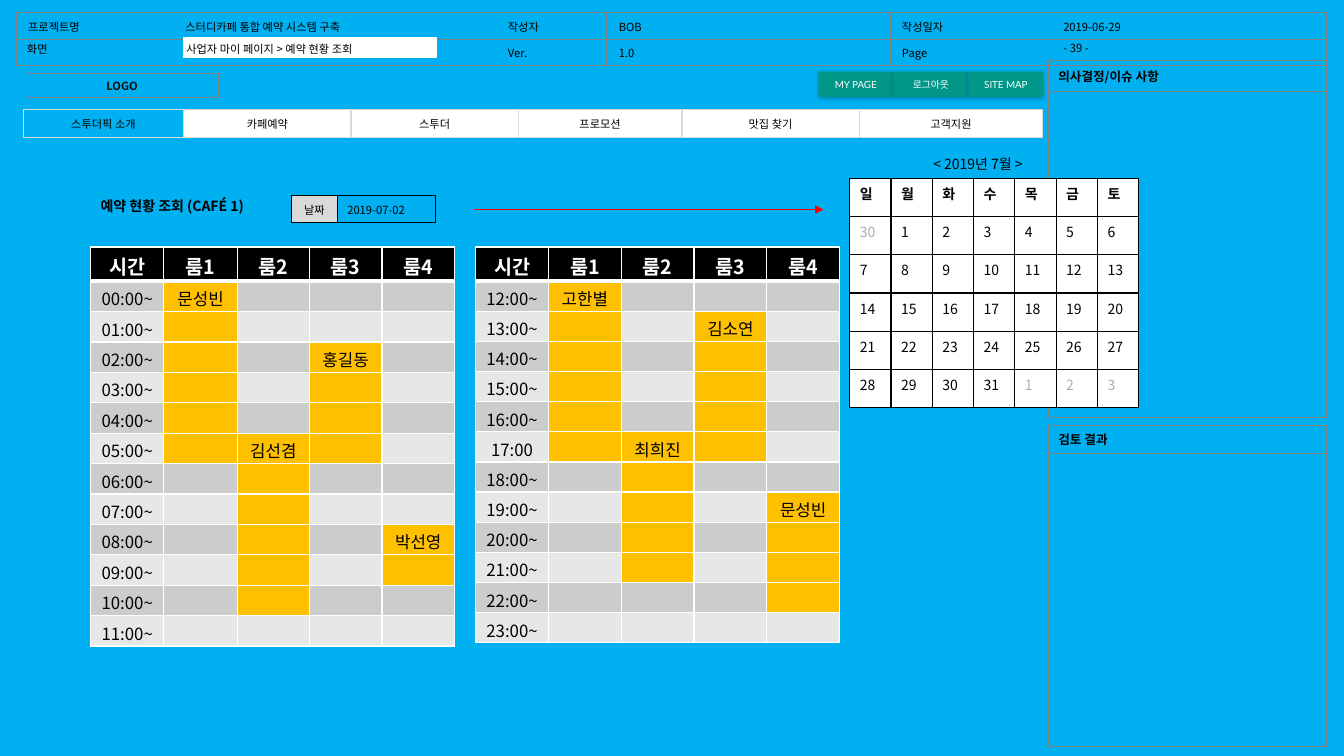
from pptx import Presentation
from pptx.dml.color import RGBColor
from pptx.enum.shapes import MSO_CONNECTOR, MSO_SHAPE
from pptx.enum.text import MSO_ANCHOR, PP_ALIGN
from pptx.oxml import parse_xml
from pptx.oxml.ns import nsdecls, qn
from pptx.util import Pt

LEFT, CENTER = PP_ALIGN.LEFT, PP_ALIGN.CENTER
TOP, MIDDLE = MSO_ANCHOR.TOP, MSO_ANCHOR.MIDDLE
RECT, ROUND_RECT = MSO_SHAPE.RECTANGLE, MSO_SHAPE.ROUNDED_RECTANGLE
STRAIGHT = MSO_CONNECTOR.STRAIGHT
KOREAN = "Noto Sans CJK KR"
BLACK, WHITE, GREY, LIGHT_GREY = "000000", "FFFFFF", "808080", "D9D9D9"
BLUE, TEAL, AMBER, RED, FADED = "00B0F0", "009688", "FFC000", "FF0000", "AFABAB"
BANDS = ("CCCCCC", "E7E7E7")


def rgb(color):
    return RGBColor.from_string(color)


def write(frame, text, size, color=BLACK, bold=False, align=LEFT, font=KOREAN):
    paragraph = frame.paragraphs[0]
    paragraph.text = text
    paragraph.alignment = align
    paragraph.font.size = Pt(size)
    paragraph.font.bold = bold
    paragraph.font.name = font
    paragraph.font.color.rgb = rgb(color)
    east_asian = parse_xml(f'<a:ea {nsdecls("a")} typeface="{KOREAN}"/>')
    paragraph.font._element.find(qn("a:latin")).addnext(east_asian)
    if not text:
        # An empty cell takes its line height from the end mark.
        paragraph._p.append(parse_xml(
            f'<a:endParaRPr {nsdecls("a")} sz="{size * 100}"/>'))


def set_border(cell, color, bottom_width):
    """Draw the four sides of a cell; they must precede its fill."""
    properties = cell._tc.get_or_add_tcPr()
    for side in ("L", "R", "T", "B"):
        width = bottom_width if side == "B" else 1
        properties.append(parse_xml(
            f'<a:ln{side} {nsdecls("a")} w="{Pt(width)}"><a:solidFill>'
            f'<a:srgbClr val="{color}"/></a:solidFill></a:ln{side}>'))


def add_grid(slide, left, top, widths, heights, rows, border, look):
    """Add a table; look(row, column) gives the style of one cell."""
    table = slide.shapes.add_table(
        len(heights), len(widths), Pt(left), Pt(top),
        Pt(sum(widths)), Pt(sum(heights))).table
    table.first_row = table.horz_banding = False
    for column, width in zip(table.columns, widths):
        column.width = Pt(width)
    for r, (height, texts) in enumerate(zip(heights, rows)):
        table.rows[r].height = Pt(height)
        for c, text in enumerate(texts):
            style = look(r, c)
            cell = table.cell(r, c)
            cell.vertical_anchor = style.get("anchor", TOP)
            cell.margin_left = cell.margin_right = Pt(style.get("side", 7.2))
            cell.margin_bottom = Pt(style.get("bottom", 3.6))
            set_border(cell, border, style.get("rule", 1))
            if "fill" in style:
                cell.fill.solid()
                cell.fill.fore_color.rgb = rgb(style["fill"])
            else:
                cell.fill.background()
            write(cell.text_frame, text, style["size"], style.get("color", BLACK),
                  style.get("bold", False), style.get("align", LEFT))


def add_label(slide, left, top, width, height, text, size, bold=False,
              anchor=TOP, wrap=True):
    frame = slide.shapes.add_textbox(
        Pt(left), Pt(top), Pt(width), Pt(height)).text_frame
    frame.word_wrap = wrap
    frame.vertical_anchor = anchor
    write(frame, text, size, bold=bold)


def add_box(slide, kind, left, top, width, height, fill=None, line=None, weight=1):
    box = slide.shapes.add_shape(kind, Pt(left), Pt(top), Pt(width), Pt(height))
    box.shadow.inherit = False
    if fill:
        box.fill.solid()
        box.fill.fore_color.rgb = rgb(fill)
    else:
        box.fill.background()
    if line:
        box.line.color.rgb = rgb(line)
        box.line.width = Pt(weight)
    else:
        box.line.fill.background()
    return box


def add_document_header(slide, left, top):
    rows = [("프로젝트명", "스터디카페 통합 예약 시스템 구축", "작성자", "BOB",
             "작성일자", "2019-06-29"),
            ("", "", "Ver.", "1.0", "Page", "")]
    add_grid(slide, left, top, [112.3, 230.4, 79.2, 202.3, 115.2, 196.6],
             [17, 17], rows, GREY, lambda r, c: {"size": 8, "side": 8.64})
    add_label(slide, left + 741, top + 16.5, 77, 17.3, "- 39 -", 8)
    add_box(slide, RECT, left + 119.5, top + 18, 180.7, 13.7, WHITE, WHITE)
    add_label(slide, left + 114.5, top + 18.7, 188.6, 14.4,
              "사업자 마이 페이지 > 예약 현황 조회", 8, anchor=MIDDLE)
    add_label(slide, left + 0.7, top + 17.2, 29.5, 17.3, "화면", 8, wrap=False)


def add_note_panel(slide, left, top, title, title_height, body_height):
    add_grid(slide, left, top, [198.7], [title_height, body_height],
             [(title,), ("",)], GREY,
             lambda r, c: {"size": 9, "bold": True, "anchor": MIDDLE})


def add_site_header(slide, left, top):
    logo = add_box(slide, RECT, left + 1.5, top, 138.2, 17.3, line=GREY, weight=0.75)
    write(logo.text_frame, "LOGO", 8, "0D0D0D", True, CENTER)
    for i, caption in enumerate(("MY PAGE", "로그아웃", "SITE MAP")):
        button = add_box(slide, ROUND_RECT, left + 568.1 + 53.6 * i, top - 1.4,
                         53.3, 18, TEAL)
        button.adjustments[0] = 0.05
        effects = button._element.spPr.find(qn("a:effectLst"))
        effects.append(parse_xml(
            f'<a:outerShdw {nsdecls("a")} blurRad="{Pt(3)}" dist="{Pt(1)}" '
            'dir="5400000"><a:srgbClr val="000000"><a:alpha val="25000"/>'
            '</a:srgbClr></a:outerShdw>'))
        frame = button.text_frame
        frame.margin_left = frame.margin_right = Pt(5.76)
        frame.vertical_anchor = MIDDLE
        write(frame, caption, 7, WHITE, align=CENTER, font="Lato")

    def menu_look(r, c):
        style = {"size": 8, "side": 8.64, "align": CENTER, "anchor": MIDDLE}
        return style | {"fill": WHITE} if c else style

    menu = ("스투더픽 소개", "카페예약", "스투더", "프로모션", "맛집 찾기", "고객지원")
    add_grid(slide, left, top + 26, [114.7, 119.5, 119.5, 116.9, 126.6, 131.2],
             [20], [menu], LIGHT_GREY, menu_look)


def add_search_bar(slide, left, top):
    add_label(slide, left, top, 128.2, 19.4, "예약 현황 조회 (CAFÉ 1)", 10, bold=True)

    def date_look(r, c):
        style = {"size": 8, "anchor": MIDDLE}
        return style if c else style | {"fill": LIGHT_GREY, "align": CENTER}

    add_grid(slide, left + 143.4, top + 2.2, [32.7, 70.3], [19.4],
             [("날짜", "2019-07-02")], BLACK, date_look)
    arrow = slide.shapes.add_connector(
        STRAIGHT, Pt(left + 273.6), Pt(top + 12.2), Pt(left + 523.4), Pt(top + 12.2))
    arrow.line.color.rgb = rgb(RED)
    arrow.line.width = Pt(0.5)
    arrow.line._get_or_add_ln().append(
        parse_xml(f'<a:tailEnd {nsdecls("a")} type="triangle"/>'))
    arrow._element.spPr.append(parse_xml(f'<a:effectLst {nsdecls("a")}/>'))


def add_timetable(slide, left, top, widths, heights, hours, bookings):
    """Bookings are (room, first slot, last slot, guest), slots from 1."""
    rows = [["시간"] + [f"룸{room}" for room in range(1, 5)]]
    rows += [[hour, "", "", "", ""] for hour in hours]
    booked = set()
    for room, first, last, guest in bookings:
        rows[first][room] = guest
        booked.update((slot, room) for slot in range(first, last + 1))

    def slot_look(r, c):
        if r == 0:
            return {"size": 14, "color": WHITE, "bold": True, "align": CENTER,
                    "fill": BLACK, "rule": 3, "bottom": 0}
        fill = AMBER if (r, c) in booked else BANDS[(r - 1) % 2]
        return {"size": 12, "align": CENTER, "fill": fill, "bottom": 0}

    add_grid(slide, left, top, widths, heights, rows, WHITE, slot_look)


def add_calendar(slide, left, top):
    days = [30, *range(1, 32), 1, 2, 3]
    rows = ["일월화수목금토"]
    rows += [[str(day) for day in days[i:i + 7]] for i in range(0, 35, 7)]

    def day_look(r, c):
        other_month = (r, c) == (1, 0) or (r == 5 and c > 3)
        return {"size": 10, "fill": WHITE, "bold": r == 0,
                "color": FADED if other_month else BLACK}

    add_grid(slide, left, top, [29.5] * 7, [27.3] * 6, rows, BLACK, day_look)
    add_label(slide, left + 52.6, top - 20.2, 100.8, 19.4, "< 2019년 7월 >", 10)


def main():
    deck = Presentation()
    deck.slide_width, deck.slide_height = Pt(960), Pt(540)
    slide = deck.slides.add_slide(deck.slide_layouts[6])
    slide.background.fill.solid()
    slide.background.fill.fore_color.rgb = rgb(BLUE)

    add_document_header(slide, 11.5, 9.2)
    add_note_panel(slide, 748.8, 43.2, "의사결정/이슈 사항", 22.3, 233)
    add_note_panel(slide, 748.8, 303.8, "검토 결과", 20.2, 209.5)
    add_site_header(slide, 16.6, 52.5)
    add_search_bar(slide, 64.8, 137.5)

    hours = [f"{hour:02}:00~" for hour in range(24)]
    hours[17] = "17:00"
    add_timetable(slide, 64.8, 176.4, [52.2, 52.6, 51.4, 51.9, 51.9],
                  [24.5] + [21.72] * 12, hours[:12],
                  [(1, 1, 6, "문성빈"), (2, 6, 11, "김선겸"),
                   (3, 3, 6, "홍길동"), (4, 9, 10, "박선영")])
    add_timetable(slide, 339.8, 176.4, [52] * 5,
                  [24.3] + [21.55] * 12, hours[12:],
                  [(1, 1, 6, "고한별"), (2, 6, 10, "최희진"),
                   (3, 2, 6, "김소연"), (4, 8, 11, "문성빈")])
    add_calendar(slide, 607, 127.4)
    deck.save("out.pptx")


if __name__ == "__main__":
    main()
